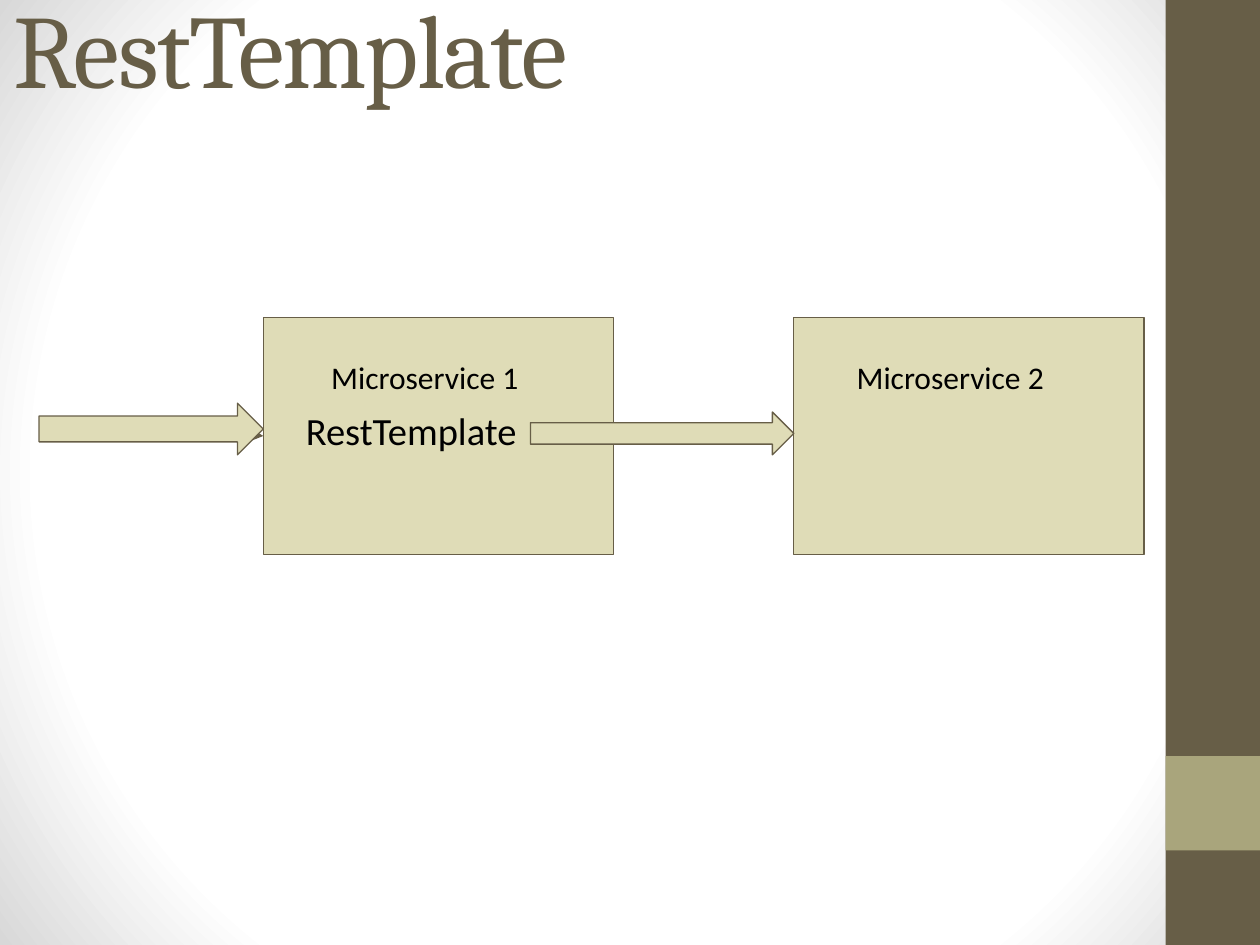
from lxml.etree import SubElement
from pptx import Presentation
from pptx.dml.color import RGBColor
from pptx.enum.shapes import MSO_CONNECTOR, MSO_SHAPE
from pptx.enum.text import MSO_ANCHOR, MSO_AUTO_SIZE, PP_ALIGN
from pptx.oxml import parse_xml
from pptx.oxml.ns import nsdecls, qn
from pptx.util import Inches, Pt

BROWN = "675E47"
OLIVE = "A9A57C"
SAND = "DFDCB7"
BLACK = "000000"


def color(hex_value):
    return RGBColor.from_string(hex_value)


def inches(*lengths):
    return [Inches(length) for length in lengths]


def set_background(slide):
    """White circular gradient that turns grey towards the corners."""
    fill = slide.background.fill
    fill.solid()
    stops = "".join(
        f'<a:gs pos="{position * 1000}"><a:srgbClr val="{value}"/></a:gs>'
        for position, value in ((0, "FFFFFF"), (75, "FFFFFF"), (100, "D8D8D8"))
    )
    gradient = parse_xml(
        f'<a:gradFill {nsdecls("a")} rotWithShape="1"><a:gsLst>{stops}</a:gsLst>'
        '<a:path path="circle"><a:fillToRect l="50000" t="50000" r="50000" b="50000"/>'
        "</a:path></a:gradFill>"
    )
    properties = slide.background._cSld.find(qn("p:bg")).find(qn("p:bgPr"))
    properties.replace(properties.find(qn("a:solidFill")), gradient)


def format_run(run, font_name, size, hex_value):
    run.font.name = font_name
    run.font.size = Pt(size)
    run.font.color.rgb = color(hex_value)


def set_title(slide, text):
    title = slide.shapes.title
    title.left, title.top, title.width, title.height = inches(0.01, 0.17, 9.99, 0.75)
    frame = title.text_frame
    frame.text = text
    frame.auto_size = MSO_AUTO_SIZE.NONE
    frame.vertical_anchor = MSO_ANCHOR.BOTTOM
    paragraph = frame.paragraphs[0]
    paragraph.alignment = PP_ALIGN.LEFT
    run = paragraph.runs[0]
    format_run(run, "Cambria", 59.4, BROWN)
    run.font._element.set("spc", "-100")


def add_filled_shape(slide, kind, left, top, width, height, fill, outline=None):
    shape = slide.shapes.add_shape(kind, *inches(left, top, width, height))
    shape.shadow.inherit = False
    shape.fill.solid()
    shape.fill.fore_color.rgb = color(fill)
    if outline:
        shape.line.color.rgb = color(outline)
        shape.line.width = Pt(0.75)
    else:
        shape.line.fill.background()


def add_arrow_line(slide, start, end):
    connector = slide.shapes.add_connector(
        MSO_CONNECTOR.STRAIGHT, *inches(*start, *end)
    )
    connector.line.color.rgb = color(BROWN)
    connector.line.width = Pt(0.75)
    SubElement(connector.line._get_or_add_ln(), qn("a:tailEnd"), type="triangle")
    SubElement(connector._element.spPr, qn("a:effectLst"))


def add_label(slide, text, left, top, height, size):
    box = slide.shapes.add_textbox(*inches(left, top, 1.88, height))
    frame = box.text_frame
    frame.word_wrap = True
    frame.margin_left = frame.margin_right = Inches(0.1)
    frame.margin_top = frame.margin_bottom = Inches(0.1)
    frame.text = text
    format_run(frame.paragraphs[0].runs[0], "Calibri", size, BLACK)


def main():
    presentation = Presentation()
    presentation.slide_width, presentation.slide_height = inches(10, 7.5)
    slide = presentation.slides.add_slide(presentation.slide_layouts[0])
    subtitle = slide.placeholders[1]._element
    subtitle.getparent().remove(subtitle)

    set_background(slide)
    set_title(slide, "RestTemplate")
    add_filled_shape(slide, MSO_SHAPE.RECTANGLE, 9.25, 0, 0.75, 7.5, BROWN)
    add_filled_shape(slide, MSO_SHAPE.RECTANGLE, 9.25, 6, 0.75, 0.75, OLIVE)

    for service_left in (2.09, 6.3):
        add_filled_shape(
            slide, MSO_SHAPE.RECTANGLE, service_left, 2.52, 2.78, 1.88, SAND, BROWN
        )
    add_arrow_line(slide, (0.34, 3.32), (2.09, 3.46))
    for arrow_bounds in ((0.31, 3.2, 1.78, 0.41), (4.21, 3.27, 2.09, 0.34)):
        add_filled_shape(slide, MSO_SHAPE.RIGHT_ARROW, *arrow_bounds, SAND, BROWN)

    add_label(slide, "RestTemplate", 2.33, 3.13, 0.75, 22)
    add_label(slide, "Microservice 1", 2.53, 2.74, 0.34, 18)
    add_label(slide, "Microservice 2", 6.7, 2.74, 0.34, 18)

    presentation.save("out.pptx")


if __name__ == "__main__":
    main()
